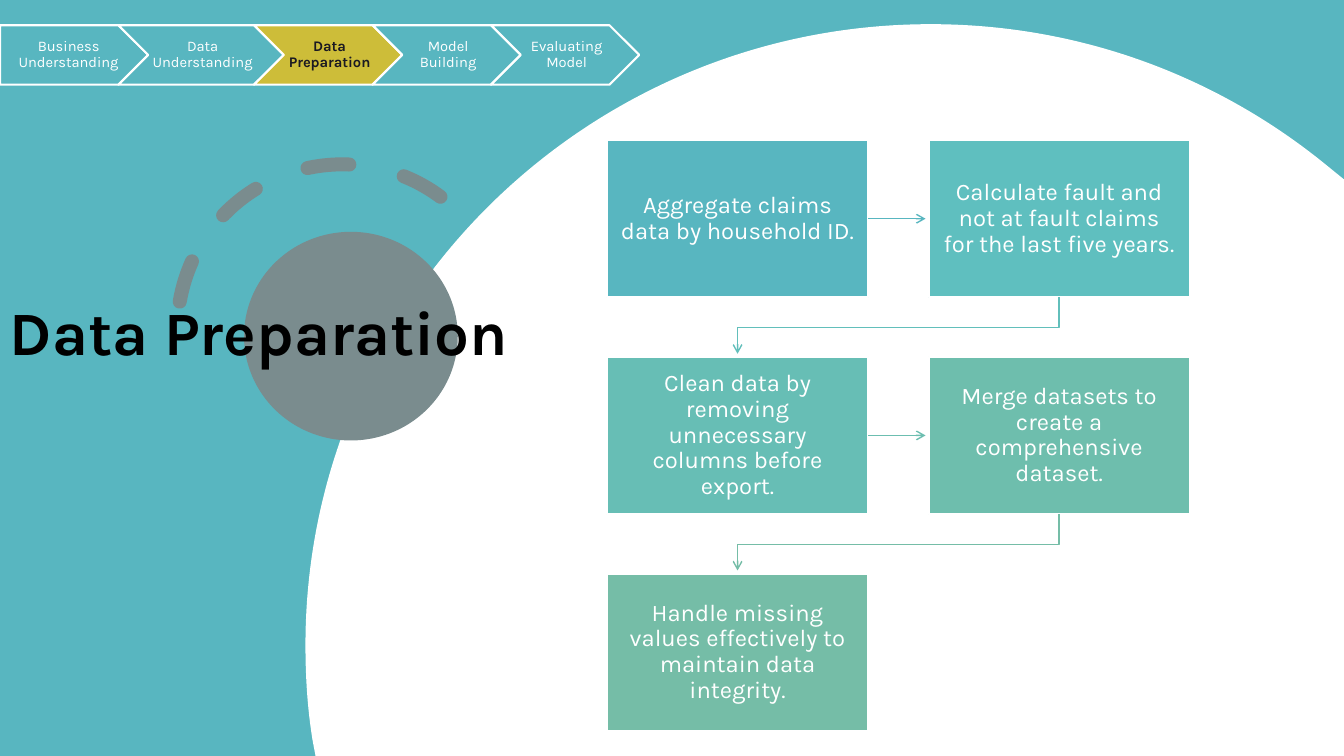
import pptx
import pptx.dml.color
import pptx.enum.dml
import pptx.enum.shapes
import pptx.enum.text
import pptx.oxml
import pptx.oxml.ns
import pptx.util

Inches = pptx.util.Inches
RGBColor = pptx.dml.color.RGBColor
Shape = pptx.enum.shapes.MSO_SHAPE
Align = pptx.enum.text.PP_ALIGN
qn = pptx.oxml.ns.qn

TEAL = RGBColor(0x58, 0xB6, 0xC0)
WHITE = RGBColor(0xFF, 0xFF, 0xFF)
BLACK = RGBColor(0x00, 0x00, 0x00)
INK = RGBColor(0x1B, 0x1A, 0x22)
GREY = RGBColor(0x7A, 0x8C, 0x8E)
AMBER = RGBColor(0xFF, 0xC0, 0x00)
ARROW_COLORS = [TEAL, RGBColor(0x62, 0xBF, 0xBB), RGBColor(0x6C, 0xBE, 0xB0), RGBColor(0x75, 0xBD, 0xA7)]

PAGE_WIDTH, PAGE_HEIGHT = 13.33, 7.5

STAGES = [
    ("Business Understanding", 1.47, TEAL, 90),
    ("Data Understanding", 1.64, TEAL, 80),
    ("Data Preparation", 1.47, AMBER, 70),
    ("Model Building", 1.47, TEAL, 60),
    ("Evaluating Model", 1.47, TEAL, 50),
]
CURRENT_STAGE = "Data Preparation"

STEPS = [
    ("Aggregate claims data by household ID.", TEAL),
    ("Calculate fault and not at fault claims for the last five years.", RGBColor(0x5F, 0xBF, 0xBF)),
    ("Clean data by removing unnecessary columns before export.", RGBColor(0x67, 0xBE, 0xB5)),
    ("Merge datasets to create a comprehensive dataset.", RGBColor(0x6E, 0xBE, 0xAD)),
    ("Handle missing values effectively to maintain data integrity.", RGBColor(0x75, 0xBD, 0xA7)),
]

DISC_START = (9.23, 0.24)
DISC_SEGMENTS = [
    [(10.73, 0.24), (12.1, 0.77), (13.17, 1.65)],
    [(13.33, 1.78)],
    [(13.33, 7.5)],
    [(3.13, 7.5)],
    [(3.1, 7.34)],
    [(3.05, 7.03), (3.03, 6.72), (3.03, 6.4)],
    [(3.03, 3), (5.81, 0.24), (9.23, 0.24)],
]


def make_element(tag, attributes=""):
    return pptx.oxml.parse_xml(f'<a:{tag} {pptx.oxml.ns.nsdecls("a")} {attributes}/>')


def write_text(shape, text, insets, align, font):
    frame = shape.text_frame
    sides = ("margin_left", "margin_top", "margin_right", "margin_bottom")
    settings = dict(zip(sides, map(Inches, insets)))
    settings.update(word_wrap=True, vertical_anchor=pptx.enum.text.MSO_ANCHOR.MIDDLE)
    for name, value in settings.items():
        setattr(frame, name, value)
    para = frame.paragraphs[0]
    para.alignment = align
    para.line_spacing = 0.9
    span = para.add_run()
    span.text = text
    span.font.color.rgb = font["color"]
    for name, value in {"name": "Karla", "size": pptx.util.Pt(font["size"]), "bold": font["bold"]}.items():
        setattr(span.font, name, value)


def paint(shape, fill=None, line=None, weight=1.5):
    shape.shadow.inherit = False
    for target, color in ((shape.fill, fill), (shape.line.fill, line)):
        if color is None:
            target.background()
        else:
            target.solid()
            target.fore_color.rgb = color
    if line is not None:
        shape.line.width = pptx.util.Pt(weight)


def add_figure(page, kind, box, **colors):
    shape = page.shapes.add_shape(kind, *map(Inches, box))
    paint(shape, **colors)
    return shape


def add_outline(page, start, segments, close):
    builder = page.shapes.build_freeform(*map(Inches, start), scale=1.0)
    points = [tuple(map(Inches, point)) for segment in segments for point in segment]
    builder.add_line_segments(points, close=close)
    shape = builder.convert_to_shape()
    steps = iter(list(shape._element.iter(qn("a:lnTo"))))
    for segment in segments:
        parts = [next(steps) for _ in segment]
        if len(parts) == 3:
            curve = make_element("cubicBezTo")
            parts[0].addprevious(curve)
            for part in parts:
                curve.append(part[0])
                part.getparent().remove(part)
    return shape


def add_arrowhead(shape):
    shape.line._get_or_add_ln().append(make_element("tailEnd", 'type="arrow"'))


def draw_backdrop(page, box):
    left, top = box[:2]
    add_figure(page, Shape.RECTANGLE, box, fill=TEAL)
    start = (left + DISC_START[0], top + DISC_START[1])
    segments = [[(left + x, top + y) for x, y in segment] for segment in DISC_SEGMENTS]
    paint(add_outline(page, start, segments, True), fill=WHITE)


def draw_emblem(page, box):
    left, top, width, height = box
    add_figure(page, Shape.OVAL, (left + 0.66, top + 0.67, 2.12, 2.07), fill=GREY)
    arc = add_figure(page, Shape.ARC, (left, top, width, height), line=GREY, weight=10)
    arc.rotation = 308.7
    arc.adjustments[0] = 144.555
    arc.adjustments[1] = 2.278
    arc.line.dash_style = pptx.enum.dml.MSO_LINE.DASH
    arc.line._get_or_add_ln().set("cap", "rnd")


def draw_steps(page, box):
    left, top, width, height = box
    card_width, card_height = 2.59, 1.56
    pitch_x, pitch_y = width - card_width, (height - card_height) / 2
    cards = []
    for index, (text, color) in enumerate(STEPS):
        row, column = divmod(index, 2)
        place = (left + column * pitch_x, top + row * pitch_y, card_width, card_height)
        card = add_figure(page, Shape.RECTANGLE, place, fill=color, line=WHITE)
        write_text(card, text, [0.13] * 4, Align.CENTER, {"size": 17, "color": WHITE, "bold": False})
        cards.append(card)
    for index, color in enumerate(ARROW_COLORS):
        row, column = divmod(index, 2)
        if column == 0:
            middle = top + row * pitch_y + card_height / 2
            ends = (left + card_width, middle, left + pitch_x - 0.03, middle)
            arrow = page.shapes.add_connector(pptx.enum.shapes.MSO_CONNECTOR.STRAIGHT, *map(Inches, ends))
            arrow.begin_connect(cards[index], 3)
            arrow.line.color.rgb = color
            arrow.line.width = pptx.util.Pt(1)
            arrow._element.spPr.append(make_element("effectLst"))
        else:
            low = top + row * pitch_y + card_height
            end_x = left + card_width / 2
            start_x = end_x + pitch_x
            bends = [[(start_x, low + 0.3)], [(end_x, low + 0.3)], [(end_x, low + 0.56)]]
            arrow = add_outline(page, (start_x, low), bends, False)
            paint(arrow, line=color, weight=1)
        add_arrowhead(arrow)


def draw_stages(page, box):
    left, top, _, height = box
    for index, (text, width, color, opacity) in enumerate(STAGES):
        kind = Shape.CHEVRON if index else Shape.PENTAGON
        stage = add_figure(page, kind, (left, top, width, height), fill=color, line=WHITE)
        tint = stage.fill._xPr.find(".//" + qn("a:srgbClr"))
        tint.append(make_element("alpha", f'val="{opacity * 1000}"'))
        current = text == CURRENT_STAGE
        font = {"size": 10.5, "color": INK if current else WHITE, "bold": current}
        insets = (0.03, 0.03, 0, 0.03) if index else (0.06, 0.03, 0.02, 0.03)
        write_text(stage, text, insets, Align.CENTER, font)
        left += width - height / 2


def draw_title(page, box):
    title = page.shapes.add_textbox(*map(Inches, box))
    font = {"size": 44, "color": BLACK, "bold": True}
    write_text(title, "Data Preparation", (0.1, 0.05, 0.1, 0.05), Align.LEFT, font)


def main():
    deck = pptx.Presentation()
    deck.slide_width = Inches(PAGE_WIDTH)
    deck.slide_height = Inches(PAGE_HEIGHT)
    page = deck.slides.add_slide(deck.slide_layouts[6])
    draw_backdrop(page, (0, 0, PAGE_WIDTH, PAGE_HEIGHT))
    draw_emblem(page, (1.76, 1.63, 3.27, 3.27))
    draw_steps(page, (6.02, 1.39, 5.78, 5.86))
    draw_stages(page, (0, 0.25, 6.34, 0.59))
    draw_title(page, (0, 2.6, 5.9, 1.45))
    deck.save("out.pptx")


if __name__ == "__main__":
    main()
